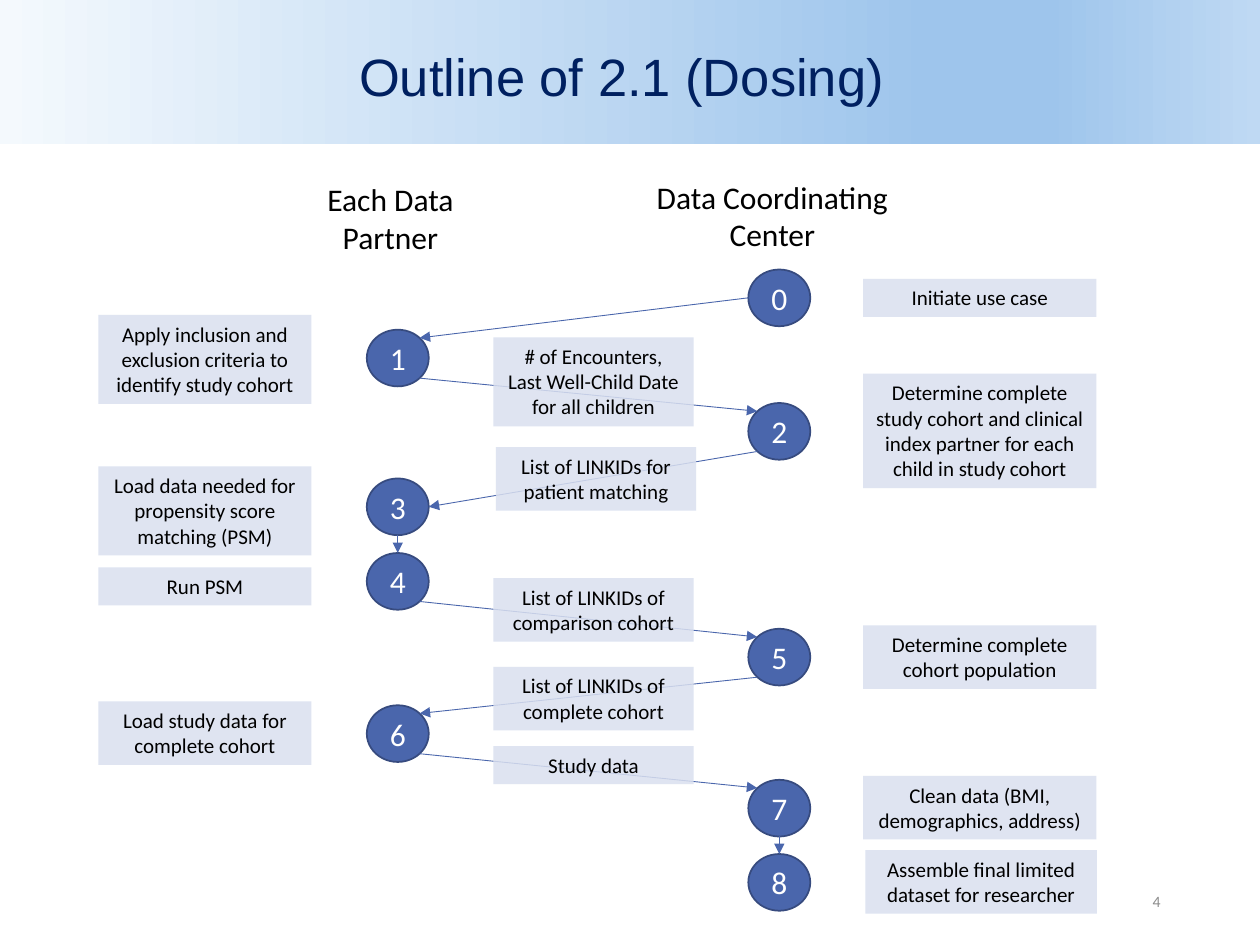
from lxml import etree
from pptx import Presentation
from pptx.dml.color import RGBColor
from pptx.enum.shapes import MSO_CONNECTOR, MSO_SHAPE
from pptx.enum.text import MSO_ANCHOR, PP_ALIGN
from pptx.oxml.ns import qn
from pptx.util import Pt

RECTANGLE, OVAL = MSO_SHAPE.RECTANGLE, MSO_SHAPE.OVAL
STRAIGHT = MSO_CONNECTOR.STRAIGHT
TOP, MIDDLE = MSO_ANCHOR.TOP, MSO_ANCHOR.MIDDLE
LEFT, CENTER, RIGHT = PP_ALIGN.LEFT, PP_ALIGN.CENTER, PP_ALIGN.RIGHT

TITLE_ONLY = 5
BLUE, DARK_BLUE, PALE_BLUE = "4A66AC", "374B7F", "DAE0EF"
BAND_STOPS = [(0, "F4F9FD"), (74, "9EC5EC"), (83, "9EC5EC"), (100, "BFD9F3")]

STEP_WIDTH, STEP_HEIGHT = 35.4, 32.4
PARTNER_X, CENTER_X = 209.6, 427.6
STEPS = [  # left, top; the position in the list is the step number
    (CENTER_X, 154), (PARTNER_X, 188.4), (CENTER_X, 230.3),
    (PARTNER_X, 273.4), (PARTNER_X, 316), (CENTER_X, 359.3),
    (PARTNER_X, 403), (CENTER_X, 445.6), (CENTER_X, 488),
]
# Side of a step circle as (horizontal, vertical) direction from its middle
DIAGONAL = 0.71
WEST, EAST, NORTH, SOUTH = (-1, 0), (1, 0), (0, -1), (0, 1)
NORTH_WEST, NORTH_EAST = (-DIAGONAL, -DIAGONAL), (DIAGONAL, -DIAGONAL)
SOUTH_WEST, SOUTH_EAST = (-DIAGONAL, DIAGONAL), (DIAGONAL, DIAGONAL)
ARROWS = [  # from step, side, to step, side
    (0, WEST, 1, NORTH_EAST),
    (1, SOUTH_EAST, 2, NORTH_WEST),
    (2, SOUTH_WEST, 3, EAST),
    (3, SOUTH, 4, NORTH),
    (4, SOUTH_EAST, 5, NORTH_WEST),
    (5, SOUTH_WEST, 6, NORTH_EAST),
    (6, SOUTH_EAST, 7, NORTH_WEST),
    (7, SOUTH, 8, NORTH),
]

PARTNER_TASK = (56.2, 121.8)  # left, width
MESSAGE = (282, 114.4)
CENTER_TASK = (493.2, 133.4)
LABELS = [  # column, top, number of lines, text
    (CENTER_TASK, 159.3, 1, "Initiate use case"),
    (PARTNER_TASK, 180, 3, "Apply inclusion and exclusion criteria to identify study cohort"),
    (MESSAGE, 192.8, 3, "# of Encounters, Last Well-Child Date for all children"),
    (CENTER_TASK, 213.5, 4, "Determine complete study cohort and clinical index partner "
                            "for each child in study cohort"),
    ((283.4, 114.4), 255.5, 2, "List of LINKIDs for patient matching"),
    (PARTNER_TASK, 266.6, 3, "Load data needed for propensity score matching (PSM)"),
    (PARTNER_TASK, 324.2, 1, "Run PSM"),
    (MESSAGE, 330.3, 2, "List of LINKIDs of comparison cohort"),
    (CENTER_TASK, 357.4, 2, "Determine complete cohort population"),
    (MESSAGE, 381, 2, "List of LINKIDs of complete cohort"),
    (PARTNER_TASK, 400.8, 2, "Load study data for complete cohort"),
    (MESSAGE, 426.3, 1, "Study data"),
    (CENTER_TASK, 443.4, 2, "Clean data (BMI, demographics, address)"),
    ((494.6, 132.2), 485.8, 2, "Assemble final limited dataset for researcher"),
]


def color(hex_text):
    return RGBColor.from_string(hex_text)


def write(shape, text, size, hex_text, align=CENTER, anchor=TOP, font="Calibri"):
    frame = shape.text_frame
    frame.word_wrap = True
    frame.vertical_anchor = anchor
    frame.text = text
    paragraph = frame.paragraphs[0]
    paragraph.alignment = align
    paragraph.font.name = font
    paragraph.font.size = Pt(size)
    paragraph.font.color.rgb = color(hex_text)
    return paragraph


def add_solid(slide, preset, box, fill):
    shape = slide.shapes.add_shape(preset, *map(Pt, box))
    shape.shadow.inherit = False
    shape.fill.solid()
    shape.fill.fore_color.rgb = color(fill)
    shape.line.fill.background()
    return shape


def add_band(slide):
    """Add the gradient strip behind the title, at the back of the slide."""
    band = add_solid(slide, RECTANGLE, (0, -9.4, 720, 91.7), PALE_BLUE)
    band.fill.gradient()
    band.fill.gradient_angle = 0
    stops = band._element.spPr.find(".//" + qn("a:gsLst"))
    for stop in list(stops):
        stops.remove(stop)
    for percent, hex_text in BAND_STOPS:
        stop = etree.SubElement(stops, qn("a:gs"), pos=str(percent * 1000))
        etree.SubElement(stop, qn("a:srgbClr"), val=hex_text)
    slide.shapes._spTree.insert(2, band._element)


def add_title(slide, text):
    title = slide.shapes.title
    title.left, title.top, title.width, title.height = map(Pt, (198, -6.5, 479.5, 104.4))
    paragraph = write(title, text, 30, "002060", LEFT, MIDDLE, "Arial")
    paragraph.line_spacing = 0.9


def add_text(slide, box, text, size, hex_text, **layout):
    write(slide.shapes.add_textbox(*map(Pt, box)), text, size, hex_text, **layout)


def add_step(slide, number, left, top):
    circle = add_solid(slide, OVAL, (left, top, STEP_WIDTH, STEP_HEIGHT), BLUE)
    circle.line.color.rgb = color(DARK_BLUE)
    circle.line.width = Pt(1)
    write(circle, str(number), 18, "FFFFFF", anchor=MIDDLE)


def step_point(number, side):
    left, top = STEPS[number]
    return (Pt(left + STEP_WIDTH * (1 + side[0]) / 2),
            Pt(top + STEP_HEIGHT * (1 + side[1]) / 2))


def add_arrow(slide, start, end):
    arrow = slide.shapes.add_connector(STRAIGHT, *start, *end)
    arrow.line.color.rgb = color(BLUE)
    arrow.line.width = Pt(0.5)
    etree.SubElement(arrow.line._get_or_add_ln(), qn("a:tailEnd"), type="triangle")
    etree.SubElement(arrow._element.spPr, qn("a:effectLst"))


def add_label(slide, column, top, line_count, text):
    left, width = column
    height = 7.2 + 14.55 * line_count
    label = add_solid(slide, RECTANGLE, (left, top, width, height), PALE_BLUE)
    fill_color = label._element.spPr.find(qn("a:solidFill"))[0]
    etree.SubElement(fill_color, qn("a:alpha"), val="85000")
    label.text_frame.margin_top = label.text_frame.margin_bottom = Pt(3.6)
    write(label, text, 12, "000000")


def main():
    presentation = Presentation()
    presentation.slide_width, presentation.slide_height = Pt(720), Pt(540)
    slide = presentation.slides.add_slide(presentation.slide_layouts[TITLE_ONLY])
    add_band(slide)
    add_title(slide, "Outline of 2.1 (Dosing)")
    add_text(slide, (167, 99.4, 112.3, 50.9), "Each Data Partner", 18, "000000")
    add_text(slide, (367.2, 98, 148.3, 50.9), "Data Coordinating Center", 18, "000000")
    for number, (left, top) in enumerate(STEPS):
        add_step(slide, number, left, top)
    for source, source_side, target, target_side in ARROWS:
        add_arrow(slide, step_point(source, source_side), step_point(target, target_side))
    for label in LABELS:
        add_label(slide, *label)
    add_text(slide, (508.3, 500.4, 162, 28.8), "4", 9, "8C8C8C", align=RIGHT, anchor=MIDDLE)
    presentation.save("out.pptx")


if __name__ == "__main__":
    main()
